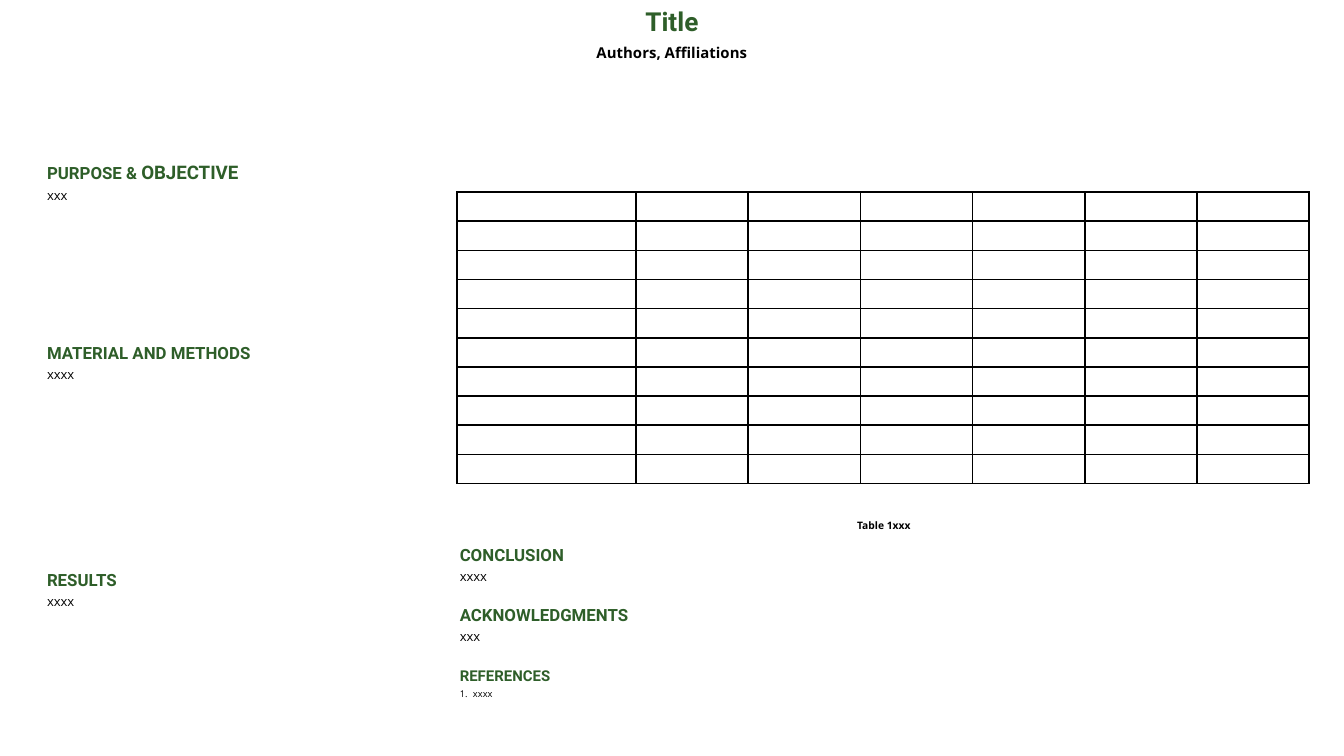
from lxml.etree import SubElement
from pptx import Presentation
from pptx.dml.color import RGBColor
from pptx.enum.text import MSO_AUTO_SIZE, PP_ALIGN
from pptx.oxml.ns import qn
from pptx.util import Cm, Pt

COLORS = {"heading": "2E5E29", "text": "000000"}
FORMATS = {
    "title": {"size": Pt(14), "name": "Roboto", "bold": True},
    "heading": {"size": Pt(9), "name": "Roboto", "bold": True},
    "large": {"size": Pt(10), "name": "Roboto", "bold": True},
    "small": {"size": Pt(8), "name": "Roboto", "bold": True},
    "authors": {"size": Pt(8), "name": "Open Sans", "bold": True},
    "caption": {"size": Pt(5.5), "name": "Open Sans", "bold": True},
    "body": {"size": Pt(7), "name": "Open Sans", "bold": False},
    "reference": {"size": Pt(5), "name": "Open Sans", "bold": False},
}
SECTION_MARGINS = (0.23, 0.03, 0.1, 0.03)
SIDES = ("left", "top", "right", "bottom")
LEFT, LEFT_WIDTH = 0.66, 7.47
RIGHT, RIGHT_WIDTH = 8.46, 16.28


def add_run(p, text, style):
    r = p.add_run()
    r.text = text
    for name, value in FORMATS[style].items():
        setattr(r.font, name, value)
    color = "heading" if FORMATS[style]["name"] == "Roboto" else "text"
    r.font.color.rgb = RGBColor.from_string(COLORS[color])


def add_box(s, box, margins):
    tf = s.shapes.add_textbox(*map(Cm, box)).text_frame
    tf.word_wrap = True
    tf.auto_size = MSO_AUTO_SIZE.SHAPE_TO_FIT_TEXT
    for side, margin in zip(SIDES, margins):
        setattr(tf, f"margin_{side}", Cm(margin))
    return tf


def add_centered(s, box, text, style, margins=(0.2, 0.03, 0.2, 0.03)):
    p = add_box(s, box, margins).paragraphs[0]
    p.alignment = PP_ALIGN.CENTER
    add_run(p, text, style)


def add_section(s, box, heading, body, style="body", margins=SECTION_MARGINS):
    tf = add_box(s, box, margins)
    tf.paragraphs[0].alignment = PP_ALIGN.LEFT
    for text, heading_style in heading:
        add_run(tf.paragraphs[0], text, heading_style)
    p = tf.add_paragraph()
    p.alignment = PP_ALIGN.JUSTIFY
    p.space_before = Pt(2.1)
    add_run(p, body, style)
    return p


def add_references(s, box):
    p = add_section(s, box, [("REFERENCES", "small")], "xxxx", "reference",
                    (0.23, 0.03, 0.1, 0.23))
    pPr = p._p.get_or_add_pPr()
    pPr.set("marL", str(Cm(0.25)))
    pPr.set("indent", str(-Cm(0.25)))
    SubElement(pPr, qn("a:buFont"), typeface="Open Sans")
    SubElement(pPr, qn("a:buAutoNum"), type="arabicPeriod")


def format_cell(cell):
    for side in SIDES:
        setattr(cell, f"margin_{side}", 0)
    SubElement(cell.text_frame.paragraphs[0]._p, qn("a:endParaRPr"), sz="500")
    tcPr = cell._tc.get_or_add_tcPr()
    for tag in ("a:lnL", "a:lnR", "a:lnT", "a:lnB"):
        ln = SubElement(tcPr, qn(tag), w=str(Pt(1)))
        fill = SubElement(ln, qn("a:solidFill"))
        SubElement(fill, qn("a:srgbClr"), val=COLORS["text"])
    cell.fill.background()


def add_results_table(s, box, rows=10, cols=7, first_width=3.38):
    table = s.shapes.add_table(rows, cols, *map(Cm, box)).table
    table.first_row = table.horz_banding = False
    other_width = (box[2] - first_width) / (cols - 1)
    for i, column in enumerate(table.columns):
        column.width = Cm(other_width if i else first_width)
    for row in table.rows:
        row.height = Cm(box[3] / rows)
    for cell in table.iter_cells():
        format_cell(cell)


def add_header(s, box):
    left, top, width, height = box
    add_centered(s, (left + 1.5, top, width - 3, 1.04), "Title", "title", (0.23,) * 4)
    add_centered(s, (left, top + 0.92, width, height - 0.92),
                 "Authors, Affiliations", "authors")


def main():
    prs = Presentation()
    prs.slide_width, prs.slide_height = Cm(25.4), Cm(14.29)
    s = prs.slides.add_slide(prs.slide_layouts[6])
    add_header(s, (2.39, -0.13, 20.62, 1.3))
    sections = [
        (LEFT, 3.02, LEFT_WIDTH, [("PURPOSE & ", "heading"), ("OBJECTIVE", "large")], "xxx"),
        (LEFT, 6.45, LEFT_WIDTH, [("MATERIAL AND METHODS", "heading")], "xxxx"),
        (LEFT, 10.74, LEFT_WIDTH, [("RESULTS", "heading")], "xxxx"),
        (RIGHT, 10.26, RIGHT_WIDTH, [("CONCLUSION", "heading")], "xxxx"),
        (RIGHT, 11.4, RIGHT_WIDTH, [("ACKNOWLEDGMENTS", "heading")], "xxx"),
    ]
    for left, top, width, heading, body in sections:
        add_section(s, (left, top, width, 0.81), heading, body)
    add_references(s, (RIGHT, 12.57, RIGHT_WIDTH, 0.86))
    add_results_table(s, (8.64, 3.63, 16.1, 5.52))
    add_centered(s, (9.02, 9.78, 15.37, 0.28), "Table 1xxx", "caption")
    prs.save("out.pptx")


if __name__ == "__main__":
    main()
